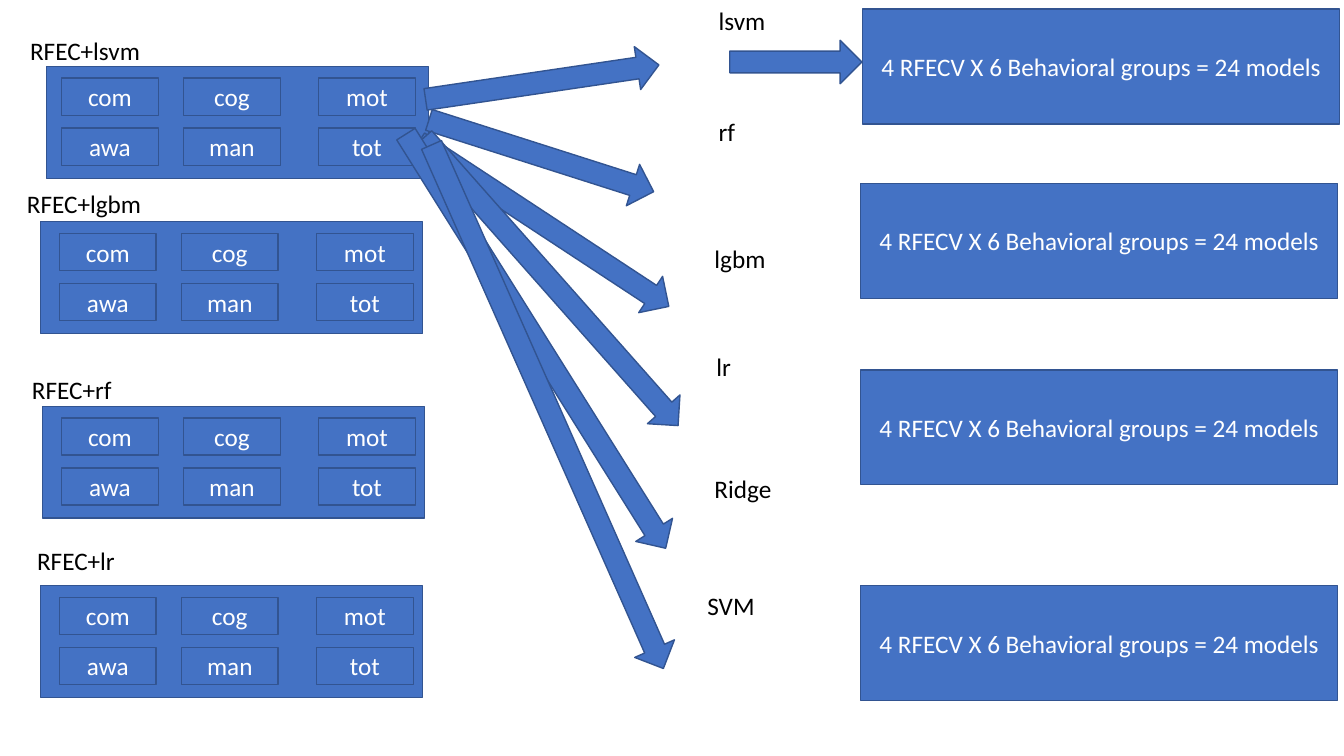
from itertools import product

from pptx import Presentation
from pptx.dml.color import RGBColor
from pptx.enum.shapes import MSO_SHAPE
from pptx.enum.text import MSO_ANCHOR, MSO_AUTO_SIZE, PP_ALIGN
from pptx.util import Pt

PANELS = [
    ("RFEC+lsvm", 14.4, 21.6, 33.1, 47.5, 44),
    ("RFEC+lgbm", 12.2, 131, 28.8, 158.4, 42.5),
    ("RFEC+rf", 15.8, 264.2, 30.2, 290.2, 44),
    ("RFEC+lr", 19.4, 385.9, 28.8, 418.3, 42.5),
]
GROUPS = ["com", "cog", "mot", "awa", "man", "tot"]
COLUMN_OFFSETS = [0, 87.1, 183.6]
ROW_OFFSETS = [8.3, 44.1]
ARROWS = [
    (303.1, 43.2, 168.5, -8.4),
    (302.4, 95.8, 168.5, 17.7),
    (281.5, 144.7, 213.8, 33.3),
    (256.3, 185.8, 274.3, 48.5),
    (208.1, 228.2, 349.2, 57.9),
    (186.5, 275, 409, 66.1),
    (521.3, 28.8, 94.3, 0),
]
MODELS = [
    ("lsvm", 506.2, 0),
    ("rf", 506.2, 79.2),
    ("lgbm", 503.3, 169.9),
    ("lr", 504.7, 247.7),
    ("Ridge", 503.3, 334.8),
    ("SVM", 498.2, 418.3),
]
RESULTS = [(616.3, 6.5), (614.9, 131), (614.9, 264.2), (614.9, 418.3)]


def color(value):
    """Turn a hex string into a colour."""
    return RGBColor.from_string(value)


class Diagram:
    """Hold the style and the current slide."""

    font_name = "Calibri"
    font_size = 18
    fill = "4472C4"
    outline = "325491"
    dark_text = "000000"
    light_text = "FFFFFF"

    def __init__(self, slide):
        """Keep the slide to draw on."""
        self.slide = slide

    def set_text(self, frame, text, text_color, alignment):
        """Put one styled line of text in a frame."""
        frame.word_wrap = True
        paragraph = frame.paragraphs[0]
        paragraph.text = text
        paragraph.alignment = alignment
        paragraph.font.name = self.font_name
        paragraph.font.size = Pt(self.font_size)
        paragraph.font.color.rgb = color(text_color)

    def shape(self, kind, left, top, width, height):
        """Add a filled and outlined preset shape."""
        shape = self.slide.shapes.add_shape(kind, Pt(left), Pt(top), Pt(width), Pt(height))
        shape.shadow.inherit = False
        shape.fill.solid()
        shape.fill.fore_color.rgb = color(self.fill)
        shape.line.color.rgb = color(self.outline)
        shape.line.width = Pt(1)
        return shape

    def box(self, left, top, width, height, text=""):
        """Add a rectangle with optional centred text."""
        shape = self.shape(MSO_SHAPE.RECTANGLE, left, top, width, height)
        if text:
            shape.text_frame.vertical_anchor = MSO_ANCHOR.MIDDLE
            self.set_text(shape.text_frame, text, self.light_text, PP_ALIGN.CENTER)

    def arrow(self, left, top, length, angle):
        """Add a block arrow turned by an angle."""
        self.shape(MSO_SHAPE.RIGHT_ARROW, left, top, length, 31).rotation = angle

    def label(self, text, left, top, width, height):
        """Add a dark text label."""
        frame = self.slide.shapes.add_textbox(Pt(left), Pt(top), Pt(width), Pt(height)).text_frame
        self.set_text(frame, text, self.dark_text, PP_ALIGN.LEFT)
        frame.auto_size = MSO_AUTO_SIZE.SHAPE_TO_FIT_TEXT

    def panel(self, left, top, cells_left):
        """Add a panel with its grid of behavioral groups."""
        self.box(left, top, 272.9, 79.9)
        for group, (row, column) in zip(GROUPS, product(ROW_OFFSETS, COLUMN_OFFSETS)):
            self.box(cells_left + column, top + row, 69.1, 26.6, group)


def main():
    """Build and save the slide."""
    presentation = Presentation()
    presentation.slide_width = Pt(960)
    presentation.slide_height = Pt(540)
    diagram = Diagram(presentation.slides.add_slide(presentation.slide_layouts[6]))
    for title, title_left, title_top, left, top, cells_left in PANELS:
        diagram.panel(left, top, cells_left)
        diagram.label(title, title_left, title_top, 125.3, 28.8)
    for arrow in ARROWS:
        diagram.arrow(*arrow)
    for name, left, top in MODELS:
        diagram.label(name, left, top, 74.9, 51.1)
    for left, top in RESULTS:
        diagram.box(left, top, 340.6, 82.1, "4 RFECV X 6 Behavioral groups = 24 models")
    presentation.save("out.pptx")


if __name__ == "__main__":
    main()
